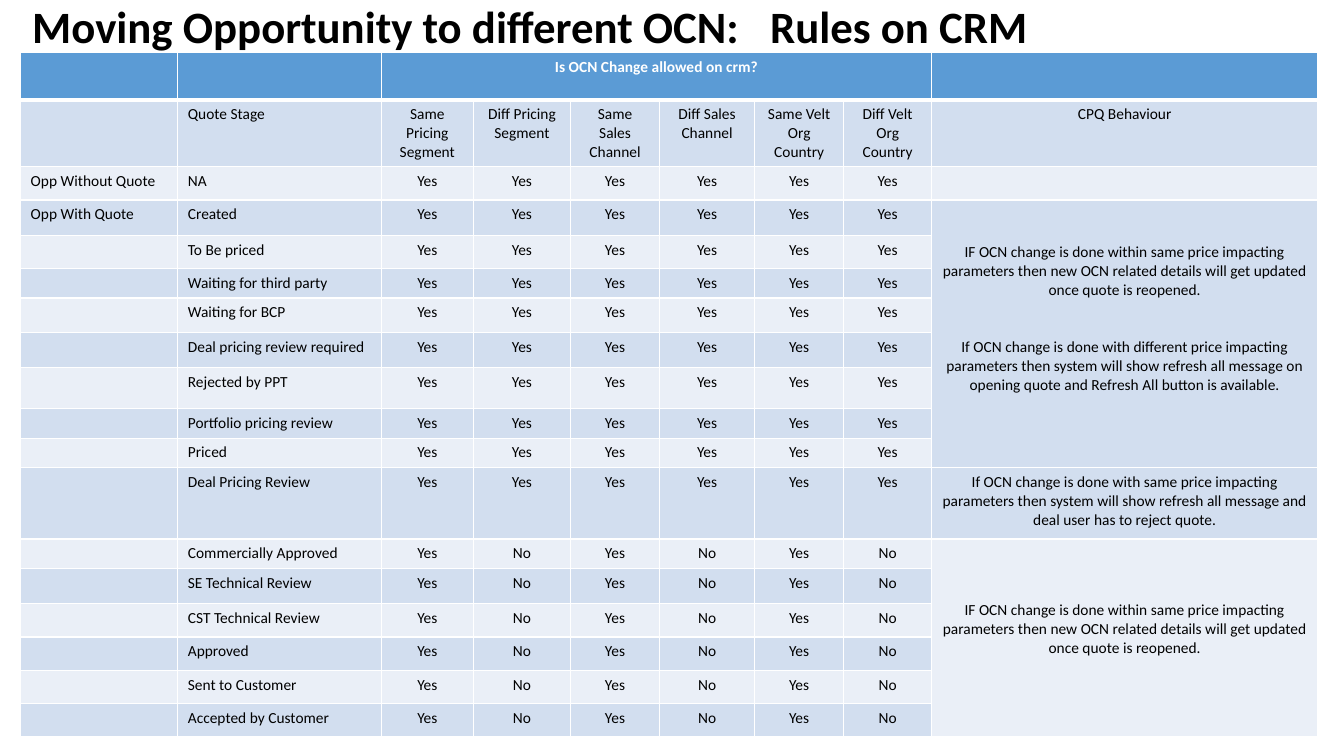
from dataclasses import dataclass
from typing import Any, Optional

from lxml.etree import SubElement
from pptx import Presentation
from pptx.dml.color import RGBColor as Color
from pptx.enum.text import MSO_VERTICAL_ANCHOR as Anchor, PP_PARAGRAPH_ALIGNMENT as Align
from pptx.oxml.ns import qn
from pptx.util import Cm, Pt


@dataclass(frozen=True)
class Theme:
    font: str = "Calibri"
    title_size: int = 32
    table_size: int = 11
    black: str = "000000"
    white: str = "FFFFFF"
    header: str = "5B9BD5"
    bands: tuple[str, str] = ("EAEFF7", "D2DEEF")
    thin: int = 1
    thick: int = 3


@dataclass(frozen=True)
class Stage:
    name: str
    height: float
    changes: tuple[str, ...]
    group: str = ""


@dataclass(frozen=True)
class Behaviour:
    row: int
    rows: int
    paragraphs: tuple[str, ...]
    top: float = 0.13


THEME = Theme()
TITLE_PARTS = (("Moving Opportunity to different OCN:", 0), (" ", 1450), ("Rules on CRM", 0))
COLUMN_WIDTHS = (3.96, 5.13, 2.32, 2.45, 2.24, 2.4, 2.24, 2.22, 9.73)
HEADER_HEIGHTS = (1.19, 1.68)
HEADINGS = (
    "", "Quote Stage", "Same Pricing Segment", "Diff Pricing Segment", "Same Sales Channel",
    "Diff Sales Channel", "Same Velt Org Country", "Diff Velt Org Country", "CPQ Behaviour",
)
ALWAYS = ("Yes",) * 6
SAME_ONLY = ("Yes", "No") * 3
STAGES = (
    Stage("NA", 0.84, ALWAYS, "Opp Without Quote"),
    Stage("Created", 0.89, ALWAYS, "Opp With Quote"),
    Stage("To Be priced", 0.84, ALWAYS),
    Stage("Waiting for third party", 0.74, ALWAYS),
    Stage("Waiting for BCP", 0.86, ALWAYS),
    Stage("Deal pricing review required", 0.89, ALWAYS),
    Stage("Rejected by PPT", 1.04, ALWAYS),
    Stage("Portfolio pricing review", 0.74, ALWAYS),
    Stage("Priced", 0.74, ALWAYS),
    Stage("Deal Pricing Review", 1.8, ALWAYS),
    Stage("Commercially Approved", 0.74, SAME_ONLY),
    Stage("SE Technical Review", 0.89, SAME_ONLY),
    Stage("CST Technical Review", 0.84, SAME_ONLY),
    Stage("Approved", 0.84, SAME_ONLY),
    Stage("Sent to Customer", 0.84, SAME_ONLY),
    Stage("Accepted by Customer", 0.84, SAME_ONLY),
)
UPDATED = (
    "IF OCN change is done within same price impacting parameters then new OCN related "
    "details will get updated once quote is reopened."
)
REFRESHED = (
    "If OCN change is done with different price impacting parameters then system will show "
    "refresh all message on opening quote and Refresh All button is available."
)
REJECTED = (
    "If OCN change is done with same price impacting parameters then system will show "
    "refresh all message and deal user has to reject quote."
)
BEHAVIOURS = (
    Behaviour(3, 8, (UPDATED, REFRESHED), 1.08),
    Behaviour(11, 1, (REJECTED,)),
    Behaviour(12, 6, (UPDATED,), 1.56),
)


def apply(target: Any, values: dict[str, Any]) -> None:
    for name, value in values.items():
        setattr(target, name, value)


def add_run(paragraph: Any, text: str, size: int, color: str, bold: bool) -> Any:
    run = paragraph.add_run()
    run.text = text
    apply(run.font, {"name": THEME.font, "size": Pt(size), "bold": bold})
    run.font.color.rgb = Color.from_string(color)
    return run


def add_title(slide: Any) -> None:
    shape = slide.shapes.add_textbox(Cm(0.56), Cm(0.03), Cm(32.54), Cm(1.4))
    apply(shape.text_frame, {"word_wrap": True, "vertical_anchor": Anchor.MIDDLE})
    paragraph = shape.text_frame.paragraphs[0]
    paragraph.line_spacing = 0.9
    for text, spacing in TITLE_PARTS:
        run = add_run(paragraph, text, THEME.title_size, THEME.black, True)
        if spacing:
            run._r.get_or_add_rPr().set("spc", str(spacing))


def add_border(cell: Any, side: str, width: int) -> None:
    line = SubElement(cell._tc.get_or_add_tcPr(), qn(f"a:{side}"), w=str(Pt(width)))
    SubElement(SubElement(line, qn("a:solidFill")), qn("a:srgbClr"), val=THEME.white)


def style_cell(cell: Any, row: int) -> None:
    for side in ("lnL", "lnR", "lnT", "lnB"):
        below_header = (row, side) in ((0, "lnB"), (1, "lnT"))
        add_border(cell, side, THEME.thick if below_header else THEME.thin)
    cell.fill.solid()
    fill = THEME.bands[row % 2] if row else THEME.header
    cell.fill.fore_color.rgb = Color.from_string(fill)
    end = SubElement(cell.text_frame.paragraphs[0]._p, qn("a:endParaRPr"))
    end.set("sz", str(THEME.table_size * 100))


def write_cell(cell: Any, paragraphs: tuple[str, ...], align: Optional[Align], header: bool = False) -> None:
    frame = cell.text_frame
    for index, text in enumerate(paragraphs):
        paragraph = frame.add_paragraph() if index else frame.paragraphs[0]
        paragraph.alignment = align
        if index:
            paragraph.space_before = Pt(27)
        color = THEME.white if header else THEME.black
        add_run(paragraph, text, THEME.table_size, color, header)


def add_rules_table(slide: Any) -> None:
    heights = HEADER_HEIGHTS + tuple(stage.height for stage in STAGES)
    table = slide.shapes.add_table(
        len(heights), len(COLUMN_WIDTHS), Cm(0.52), Cm(1.33),
        Cm(sum(COLUMN_WIDTHS)), Cm(sum(heights)),
    ).table
    table.horz_banding = False
    for column, width in zip(table.columns, COLUMN_WIDTHS):
        column.width = Cm(width)
    for row, height in zip(table.rows, heights):
        row.height = Cm(height)

    body = (HEADINGS,) + tuple((stage.group, stage.name, *stage.changes, "") for stage in STAGES)
    for row, texts in enumerate(((""),) * 1 + body):
        for column in range(len(COLUMN_WIDTHS)):
            cell = table.cell(row, column)
            style_cell(cell, row)
            if texts and texts[column]:
                write_cell(cell, (texts[column],), Align.CENTER if column > 1 else None)

    question = table.cell(0, 2)
    question.merge(table.cell(0, 7))
    write_cell(question, ("Is OCN Change allowed on crm?",), Align.CENTER, header=True)
    for behaviour in BEHAVIOURS:
        cell = table.cell(behaviour.row, 8)
        if behaviour.rows > 1:
            cell.merge(table.cell(behaviour.row + behaviour.rows - 1, 8))
        cell.margin_top = Cm(behaviour.top)
        write_cell(cell, behaviour.paragraphs, Align.CENTER)


def main() -> None:
    presentation = Presentation()
    apply(presentation, {"slide_width": Cm(33.87), "slide_height": Cm(19.05)})
    slide = presentation.slides.add_slide(presentation.slide_layouts[6])
    add_title(slide)
    add_rules_table(slide)
    presentation.save("out.pptx")


if __name__ == "__main__":
    main()
